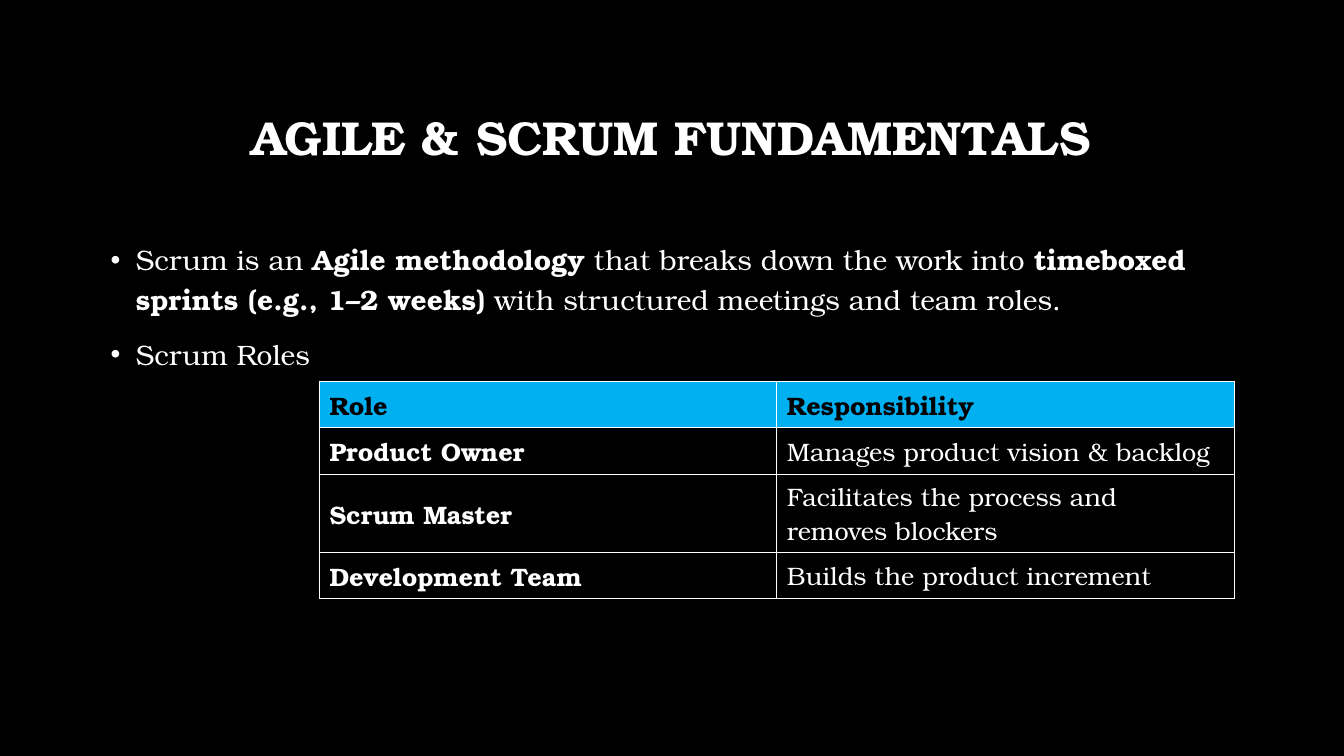
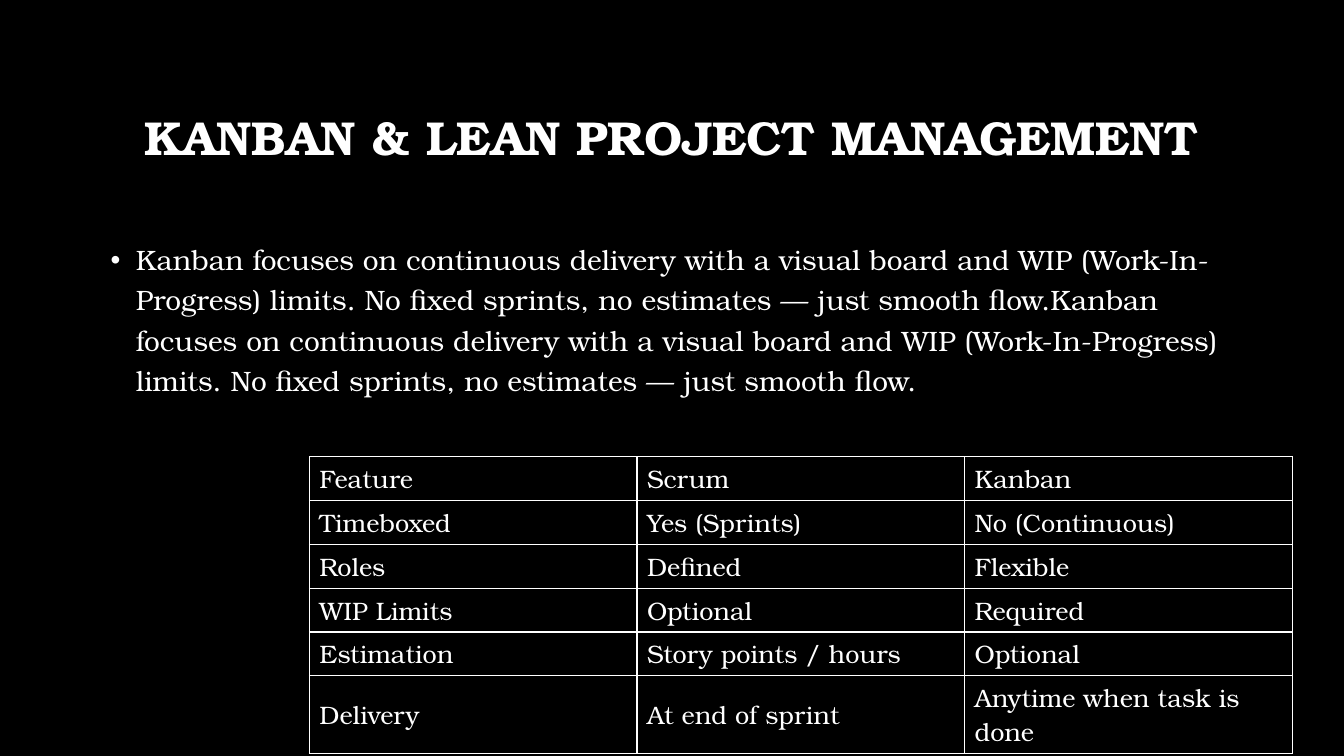
from lxml import etree
from pptx import Presentation
from pptx.dml.color import RGBColor
from pptx.enum.text import MSO_ANCHOR, MSO_AUTO_SIZE, PP_ALIGN
from pptx.oxml.ns import qn
from pptx.util import Pt

MIDDLE = MSO_ANCHOR.MIDDLE
CENTER = PP_ALIGN.CENTER
FIXED = MSO_AUTO_SIZE.NONE
FONT = "TeX Gyre Bonum"
BLACK, WHITE, BLUE = "000000", "FFFFFF", "00B0F0"
LEFT, WIDTH = 72, 815


def paint(fill, color):
    fill.solid()
    fill.fore_color.rgb = RGBColor.from_string(color)


class Deck:
    """Holds the shared style and the current slide."""

    def __init__(self):
        self.prs = Presentation()
        self.prs.slide_width, self.prs.slide_height = Pt(960), Pt(540)
        paint(self.prs.slide_master.background.fill, BLACK)
        self.slide = None

    def style(self, run, size, color=WHITE, bold=False):
        font = run.font
        font.name, font.size, font.bold = FONT, Pt(size), bold
        font.color.rgb = RGBColor.from_string(color)

    def page(self, title):
        self.slide = self.prs.slides.add_slide(self.prs.slide_layouts[5])
        shape = self.slide.shapes.title
        shape.left, shape.top = Pt(LEFT), Pt(48)
        shape.width, shape.height = Pt(WIDTH), Pt(104.4)
        frame = shape.text_frame
        frame.text = title
        frame.auto_size, frame.word_wrap = FIXED, True
        frame.vertical_anchor = MIDDLE
        para = frame.paragraphs[0]
        para.alignment, para.line_spacing = CENTER, 0.9
        self.style(para.runs[0], 34, bold=True)

    def body(self, *items):
        """Add bullets; text between asterisks is bold."""
        box = self.slide.shapes.add_textbox(Pt(LEFT), Pt(165), Pt(WIDTH), Pt(291))
        frame = box.text_frame
        frame.word_wrap = True
        frame.text = "\n".join(items)
        for para, item in zip(frame.paragraphs, items):
            para.line_spacing, para.space_before = 1.2, Pt(10)
            props = para._p.get_or_add_pPr()
            props.set("marL", str(Pt(18)))
            props.set("indent", str(-Pt(18)))
            font = etree.SubElement(props, qn("a:buFont"))
            font.set("typeface", "Arial")
            etree.SubElement(props, qn("a:buChar")).set("char", "•")
            first, *rest = item.split("*")
            para.runs[0].text = first
            for part in rest:
                para.add_run().text = part
            for i, run in enumerate(para.runs):
                self.style(run, 20, bold=i % 2 == 1)

    def border(self, cell):
        props = cell._tc.get_or_add_tcPr()
        for i, side in enumerate("LRTB"):
            line = etree.Element(qn("a:ln" + side), w=str(Pt(1)))
            fill = etree.SubElement(line, qn("a:solidFill"))
            etree.SubElement(fill, qn("a:srgbClr"), val=WHITE)
            props.insert(i, line)

    def table(self, left, top, width, heights, rows, accent=False):
        """Add a ruled table, with a blue head and bold labels if accented."""
        count = len(rows[0])
        frame = self.slide.shapes.add_table(
            len(rows), count, Pt(left), Pt(top), Pt(width), Pt(sum(heights)))
        table = frame.table
        table.first_row = table.horz_banding = False
        for col in table.columns:
            col.width = Pt(width / count)
        for r, (height, texts) in enumerate(zip(heights, rows)):
            table.rows[r].height = Pt(height)
            for c, text in enumerate(texts):
                cell = table.cell(r, c)
                head = accent and r == 0
                cell.text_frame.text = text
                cell.vertical_anchor = MIDDLE
                paint(cell.fill, BLUE if head else BLACK)
                self.border(cell)
                self.style(cell.text_frame.paragraphs[0].runs[0], 18,
                           BLACK if head else WHITE,
                           head or (accent and c == 0))


def main():
    deck = Deck()
    deck.page("AGILE & SCRUM FUNDAMENTALS")
    deck.body(
        "Scrum is an *Agile methodology* that breaks down the work into "
        "*timeboxed sprints (e.g., 1–2 weeks)* with structured meetings "
        "and team roles.",
        "Scrum Roles")
    deck.table(228.2, 272.2, 653.4, [33.4, 33.4, 55.4, 33.4], [
        ("Role", "Responsibility"),
        ("Product Owner", "Manages product vision & backlog"),
        ("Scrum Master", "Facilitates the process and removes blockers"),
        ("Development Team", "Builds the product increment"),
    ], accent=True)

    deck.page("KANBAN & LEAN PROJECT MANAGEMENT")
    flow = ("Kanban focuses on continuous delivery with a visual board and "
            "WIP (Work-In-Progress) limits. No fixed sprints, no estimates "
            "— just smooth flow.")
    deck.body(flow * 2)
    deck.table(221, 326.2, 702, [31.3] * 5 + [55.4], [
        ("Feature", "Scrum", "Kanban"),
        ("Timeboxed", "Yes (Sprints)", "No (Continuous)"),
        ("Roles", "Defined", "Flexible"),
        ("WIP Limits", "Optional", "Required"),
        ("Estimation", "Story points / hours", "Optional"),
        ("Delivery", "At end of sprint", "Anytime when task is done"),
    ])
    deck.prs.save("out.pptx")


if __name__ == "__main__":
    main()
